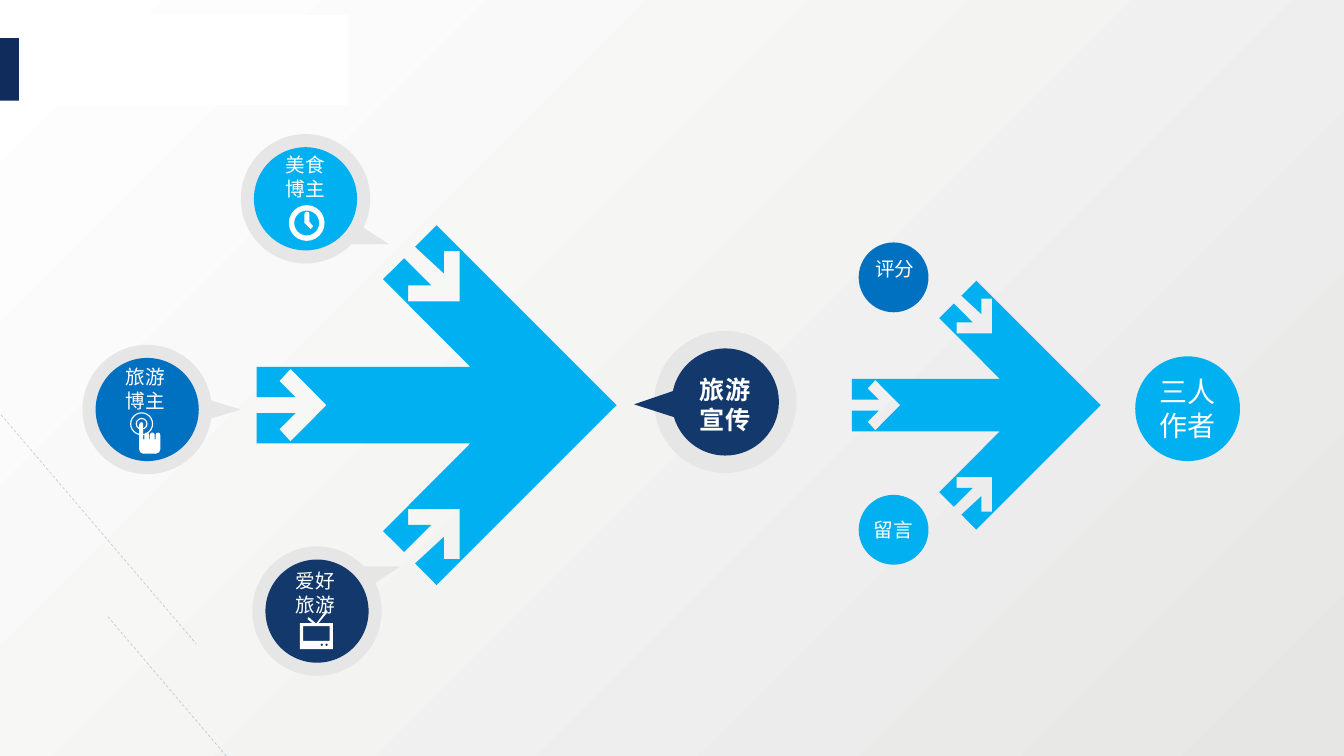
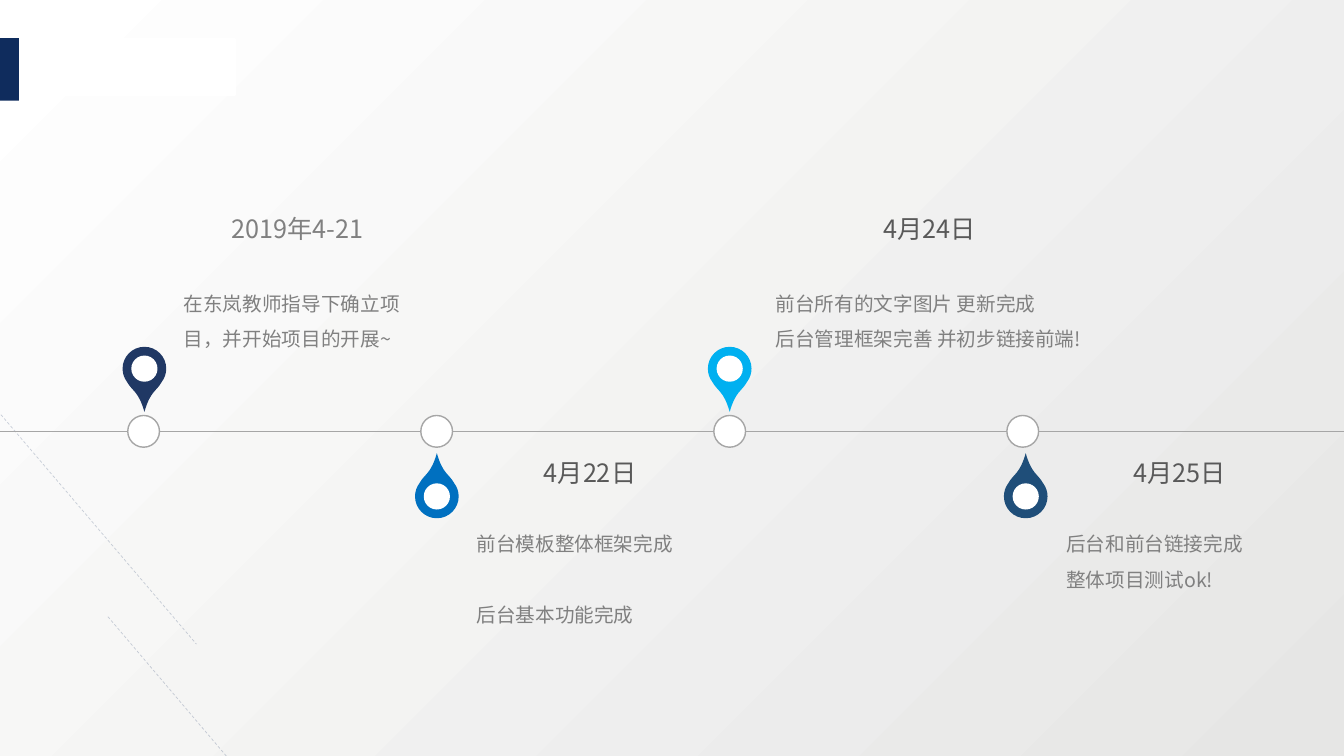
import math
from dataclasses import dataclass
from lxml import etree
from pptx import Presentation, util as u
from pptx.dml.color import RGBColor
from pptx.enum import dml, shapes, text
from pptx.oxml import ns

FONT = "Noto Sans CJK SC"
WHITE = RGBColor(0xFF, 0xFF, 0xFF)
PALE = RGBColor(0xE6, 0xE6, 0xE5)
HALO = RGBColor(0xE7, 0xE6, 0xE6)
RULE = RGBColor(0xA6, 0xA6, 0xA6)
GREY = RGBColor(0x80, 0x80, 0x80)
DARK = RGBColor(0x59, 0x59, 0x59)
INK = RGBColor(0x0F, 0x2C, 0x5D)
NAVY = RGBColor(0x13, 0x39, 0x6C)
DEEP = RGBColor(0x20, 0x38, 0x64)
STEEL = RGBColor(0x1F, 0x4E, 0x79)
BLUE = RGBColor(0x00, 0x70, 0xC0)
SKY = RGBColor(0x00, 0xB0, 0xF0)

WIDTH, HEIGHT = 33.87, 19.05  # all coordinates are in centimetres
SHAPE = shapes.MSO_SHAPE
Point = tuple[float, float]
Box = tuple[float, float, float, float]
Segment = list[Point]  # one point for a straight line, three for a Bézier curve

# Upper half of the three-tailed arrow, in percent of its length, from the tip
ARROW_HALF = [
    (-50, 50), (-56, 44), (-48, 36.6), (-48, 42.8), (-43.6, 42.8), (-43.6, 28.8),
    (-57.9, 28.8), (-57.9, 33.3), (-51.5, 33.3), (-59, 40.8), (-64.9, 35),
    (-40.6, 10.6), (-100, 10.6), (-100, 2.2), (-89.2, 2.2), (-93.7, 6.7), (-90.6, 10.1),
]


@dataclass
class Bubble:
    center: Point
    tip: Point
    tail: tuple[float, float]  # angles of the two tail roots, clockwise
    fill: RGBColor
    label: str
    label_box: Box


@dataclass
class Disc:
    center: Point
    radius: float
    fill: RGBColor
    label: str
    label_box: Box
    size: int


@dataclass
class Stage:
    pin_x: float
    up: bool
    fill: RGBColor
    date: str
    date_color: RGBColor
    lines: list[str]
    text_x: float
    text_w: float
    gap: float = 0  # points between paragraphs


BUBBLES = [
    Bubble((7.7, 5.01), (9.8, 6.15), (26.6, 44.4), SKY, "美食博主", (6.93, 3.73, 1.52, 1.45)),
    Bubble((3.71, 10.32), (6.07, 10.32), (-8, 8), BLUE, "旅游博主", (2.76, 9.08, 1.8, 1.45)),
    Bubble((7.99, 15.4), (10.1, 14.27), (-43.8, -25.8), NAVY, "爱好旅游",
           (7.07, 14.22, 1.75, 1.45)),
]
DISCS = [
    Disc((22.52, 13.35), 0.88, SKY, "留言", (21.46, 12.93, 2.11, 0.86), 14),
    Disc((22.52, 6.99), 0.88, BLUE, "评分", (21.5, 6.35, 2.11, 0.86), 14),
    Disc((29.93, 10.3), 1.32, SKY, "三人作者", (28.88, 9.32, 2.11, 1.96), 20),
]
STAGES = [
    Stage(3.64, True, DEEP, "2019年4-21", GREY,
          ["在东岚教师指导下确立项目，并开始项目的开展~"], 4.38, 6.3),
    Stage(11.01, False, BLUE, "4月22日", DARK,
          ["前台模板整体框架完成", "后台基本功能完成"], 11.76, 6.3, 25.5),
    Stage(18.39, True, SKY, "4月24日", DARK,
          ["前台所有的文字图片 更新完成", "后台管理框架完善 并初步链接前端!"], 19.3, 8.33),
    Stage(25.85, False, STEEL, "4月25日", DARK,
          ["后台和前台链接完成", "整体项目测试ok!"], 26.62, 6.3),
]


def paint(sp, fill: RGBColor, line: RGBColor | None = None) -> None:
    sp.shadow.inherit = False
    sp.fill.solid()
    sp.fill.fore_color.rgb = fill
    if line is None:
        sp.line.fill.background()
    else:
        sp.line.color.rgb = line
        sp.line.width = u.Pt(1)


def add_preset(s, kind, box: Box, fill: RGBColor, line: RGBColor | None = None,
               adjust: float | None = None) -> None:
    sp = s.shapes.add_shape(kind, *map(u.Cm, box))
    if adjust is not None:
        sp.adjustments[0] = adjust
    paint(sp, fill, line)


def add_circle(s, center: Point, radius: float, fill: RGBColor,
               line: RGBColor | None = None, ring: float | None = None) -> None:
    """Draw a disc, or a ring when its relative thickness is given."""
    x, y = center
    kind = SHAPE.OVAL if ring is None else SHAPE.DONUT
    add_preset(s, kind, (x - radius, y - radius, 2 * radius, 2 * radius), fill, line, ring)


def add_outline(s, contours: list[list[Segment]], fill: RGBColor) -> None:
    """Draw closed contours; the first segment of each holds its start point."""
    builder = None
    for contour in contours:
        start, *rest = [(u.Cm(x), u.Cm(y)) for segment in contour for x, y in segment]
        if builder is None:
            builder = s.shapes.build_freeform(*start)
        else:
            builder.move_to(*start)
        builder.add_line_segments(rest)
    sp = builder.convert_to_shape()
    # Join the three points of each curve into one Bézier element
    nodes = iter(list(sp._element.iter(ns.qn("a:lnTo"))))
    for segment in (segment for contour in contours for segment in contour[1:]):
        first, *others = [next(nodes) for _ in segment]
        if others:
            first.tag = ns.qn("a:cubicBezTo")
            for node in others:
                first.append(node[0])
                node.getparent().remove(node)
    paint(sp, fill)


def straight(points: list[Point]) -> list[Segment]:
    return [[point] for point in points]


def polar(center: Point, radius: float, angle: float) -> Point:
    a = math.radians(angle)
    return center[0] + radius * math.cos(a), center[1] + radius * math.sin(a)


def arc(center: Point, radius: float, start: float, end: float) -> list[Segment]:
    """Clockwise arc as its start point and curves that break at quadrants."""
    quadrants = range(math.floor(start / 90) * 90 + 90, math.ceil(end), 90)
    stops = [start, *quadrants, end]
    segments = [[polar(center, radius, start)]]
    for a, b in zip(stops, stops[1:]):
        handle = radius * 4 / 3 * math.tan(math.radians(b - a) / 4)
        segments.append([polar(polar(center, radius, a), handle, a + 90),
                         polar(polar(center, radius, b), handle, b - 90),
                         polar(center, radius, b)])
    return segments


def add_line(s, start: Point, end: Point, color: RGBColor, width: float,
             dashed: bool = False) -> None:
    cn = s.shapes.add_connector(shapes.MSO_CONNECTOR.STRAIGHT, *map(u.Cm, start + end))
    cn.line.color.rgb = color
    cn.line.width = u.Pt(width)
    if dashed:
        cn.line.dash_style = dml.MSO_LINE.DASH
        for clr in cn._element.spPr.iter(ns.qn("a:srgbClr")):
            etree.SubElement(clr, ns.qn("a:alpha"), val="21000")
    etree.SubElement(cn._element.spPr, ns.qn("a:effectLst"))


def add_text(s, box: Box, lines: list[str], size: int, color: RGBColor, bold: bool = False,
             align=text.PP_ALIGN.CENTER, spacing: float = 1.0, gap: float = 0) -> None:
    tf = s.shapes.add_textbox(*map(u.Cm, box)).text_frame
    tf.word_wrap = True
    tf.auto_size = text.MSO_AUTO_SIZE.SHAPE_TO_FIT_TEXT
    for i, line in enumerate(lines):
        p = tf.paragraphs[0] if i == 0 else tf.add_paragraph()
        p.alignment, p.line_spacing = align, spacing
        if i and gap:
            p.space_before = u.Pt(gap)
        r = p.add_run()
        r.text = line
        r.font.color.rgb = color
        for name, value in {"size": u.Pt(size), "bold": bold, "name": FONT}.items():
            setattr(r.font, name, value)
        etree.SubElement(r._r.get_or_add_rPr(), ns.qn("a:ea"), typeface=FONT)


def add_callout(s, center: Point, radius: float, tip: Point, tail: tuple[float, float],
                fill: RGBColor) -> None:
    add_outline(s, [[[tip]] + arc(center, radius, tail[1], tail[0] + 360)], fill)


def add_arrow(s, tip: Point, length: float) -> None:
    lower = [(x, -y) for x, y in reversed(ARROW_HALF)]
    k = length / 100
    points = [(0, 0)] + ARROW_HALF + [(-80.6, 0)] + lower
    add_outline(s, [straight([(tip[0] + k * x, tip[1] + k * y) for x, y in points])], SKY)


def add_pin(s, center: Point, up: bool, fill: RGBColor) -> None:
    x, y = center
    side = 1 if up else -1
    head = arc((0, 0), 0.55, 143, 397)
    left = [(-0.15, 0.56), (-0.3, 0.58), head[0][0]]
    right = [(0.3, 0.58), (0.15, 0.56), (0, 1.09)]
    contour = [[(0, 1.09)], left, *head[1:], right]
    add_outline(s, [[[(x + dx, y + side * dy) for dx, dy in seg] for seg in contour]], fill)
    add_circle(s, center, 0.33, WHITE)


def add_clock(s) -> None:
    add_circle(s, (7.73, 5.62), 0.45, WHITE, ring=0.15)
    add_outline(s, [[[(7.67, 5.4)], [(7.67, 5.31), (7.8, 5.31), (7.8, 5.4)], [(7.8, 5.59)],
                     [(7.89, 5.7)], [(7.83, 5.77)], [(7.67, 5.61)]]], WHITE)


def add_touch(s) -> None:
    for radius, ring in ((0.15, 0.1), (0.29, 0.05)):
        add_circle(s, (3.57, 10.68), radius, WHITE, ring=ring)
    hand = [[(3.51, 11.33)]]
    knuckle = 11.07
    for x, top, width in ((3.51, 10.7, 0.1), (3.64, 10.96, 0.12), (3.78, 10.96, 0.12),
                          (3.92, 10.96, 0.12)):
        end = x + width
        hand += [[(x, knuckle)], [(x, top)],
                 [(x, top - 0.08), (end, top - 0.08), (end, top)], [(end, knuckle)]]
    hand += [[(4.04, 11.33)], [(4.04, 11.38), (3.99, 11.43), (3.94, 11.43)],
             [(3.6, 11.43)], [(3.55, 11.43), (3.51, 11.38), (3.51, 11.33)]]
    add_outline(s, [hand], WHITE)


def add_television(s) -> None:
    body = [(8.03, 15.7), (8.26, 15.42), (8.23, 15.37), (7.98, 15.7), (7.95, 15.7),
            (7.78, 15.55), (7.75, 15.6), (7.87, 15.7), (7.56, 15.7), (7.56, 16.36),
            (8.39, 16.36), (8.39, 15.7)]
    screen = [(7.64, 15.78), (8.31, 15.78), (8.31, 16.15), (7.64, 16.15)]
    knobs = [arc((x, 16.25), 0.04, 0, 360) for x in (8.11, 8.23)]
    add_outline(s, [straight(body), straight(screen), *knobs], WHITE)


def new_slide(prs):
    """Add a slide with the edge tab and the dashed diagonals."""
    s = prs.slides.add_slide(prs.slide_layouts[6])
    add_preset(s, SHAPE.RECTANGLE, (0, 0.96, 0.48, 1.58), INK)
    add_line(s, (2.72, 15.54), (7.19, 20.8), INK, 0.5, dashed=True)
    add_line(s, (-6.76, 2.49), (4.95, 16.23), INK, 0.5, dashed=True)
    return s


def build_promotion(prs) -> None:
    s = new_slide(prs)
    # Sources feeding the first arrow
    add_arrow(s, (15.54, 10.21), 9.07)
    for b in BUBBLES:
        add_callout(s, b.center, 1.63, b.tip, b.tail, HALO)
        add_circle(s, b.center, 1.3, b.fill)
    for add_icon in (add_clock, add_touch, add_television):
        add_icon(s)
    for b in BUBBLES:
        add_text(s, b.label_box, [b.label], 14, WHITE)
    # Hub
    hub = (18.28, 10.13)
    add_circle(s, hub, 1.79, HALO)
    add_callout(s, hub, 1.35, (15.98, 10.19), (163.6, 191.7), NAVY)
    add_text(s, (17.13, 9.31, 2.29, 1.8), ["旅游宣传"], 18, WHITE, bold=True)
    # Feedback and authors
    add_arrow(s, (27.74, 10.21), 6.27)
    for d in DISCS:
        add_circle(s, d.center, d.radius, d.fill)
    for d in DISCS:
        add_text(s, d.label_box, [d.label], d.size, WHITE)
    add_preset(s, SHAPE.RECTANGLE, (0.76, 0.4, 8, 2.24), WHITE, WHITE)


def build_timeline(prs) -> None:
    s = new_slide(prs)
    # Axis and nodes
    axis = 10.87
    add_line(s, (0, axis), (WIDTH, axis), RULE, 1)
    for i in range(len(STAGES)):
        add_circle(s, (3.62 + 7.385 * i, axis), 0.4, WHITE, RULE)
    # Pins and texts, above or below the axis
    for st in STAGES:
        pin_y, date_y, body_y = (9.29, 5.26, 6.94) if st.up else (12.51, 11.4, 12.99)
        add_pin(s, (st.pin_x, pin_y), st.up, st.fill)
        add_text(s, (st.text_x, date_y, st.text_w - 0.08, 1.02), [st.date], 18, st.date_color)
        add_text(s, (st.text_x, body_y, st.text_w, 2.06), st.lines, 14, GREY,
                 align=text.PP_ALIGN.LEFT, spacing=1.5, gap=st.gap)
    add_preset(s, SHAPE.RECTANGLE, (0.79, 0.98, 5.13, 1.42), WHITE, WHITE)


def main() -> None:
    prs = Presentation()
    prs.slide_width, prs.slide_height = u.Cm(WIDTH), u.Cm(HEIGHT)
    # Shared background
    fill = prs.slide_master.background.fill
    fill.gradient()
    fill.gradient_angle = 135
    for stop, position, color in zip(fill.gradient_stops, (0, 1), (PALE, WHITE)):
        stop.position, stop.color.rgb = position, color
    build_promotion(prs)
    build_timeline(prs)
    prs.save("out.pptx")


if __name__ == "__main__":
    main()
